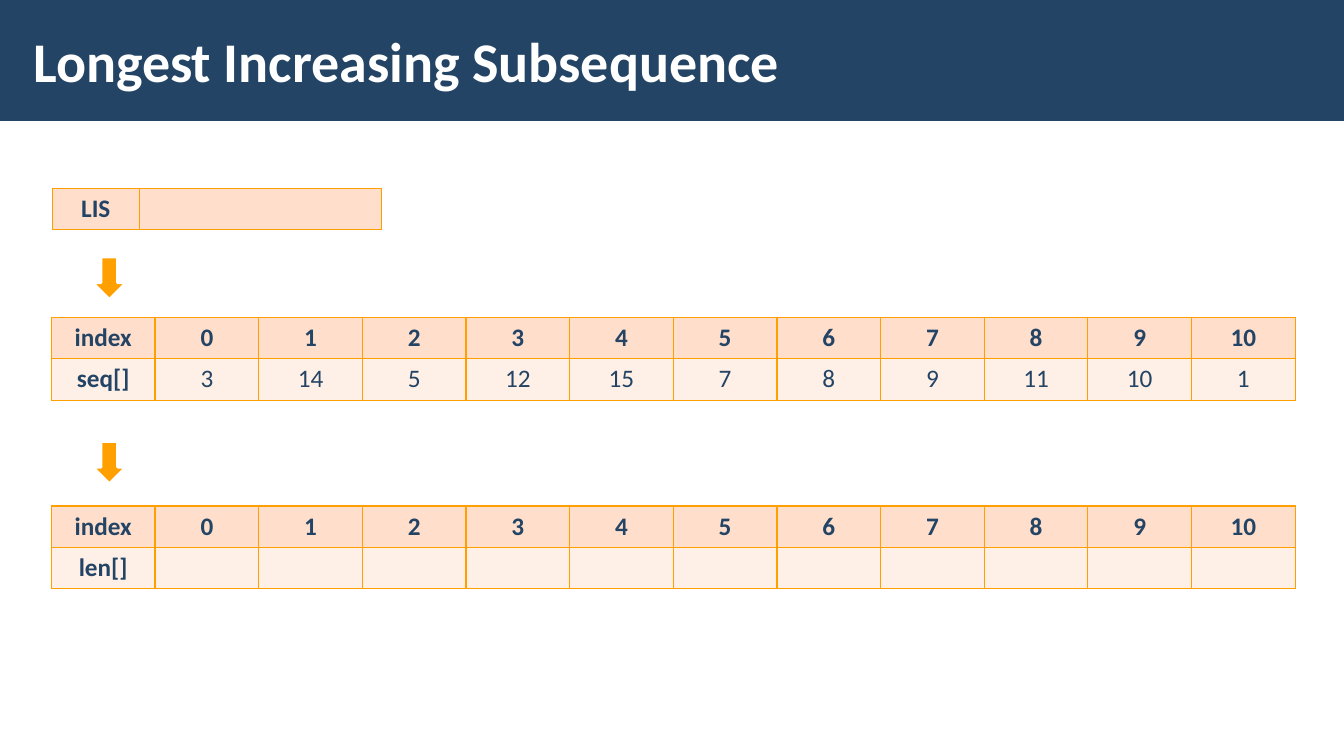
import pptx
import pptx.dml.color
import pptx.enum.shapes
import pptx.enum.text
import pptx.oxml
import pptx.oxml.ns
import pptx.util
from pptx.util import Inches

NAVY, ORANGE, WHITE = "234465", "FFA000", "FFFFFF"
HEADER_FILL, BODY_FILL = "FFDFCC", "FFF0E7"
FONT = "Calibri"

TITLE = "Longest Increasing Subsequence"
SEQUENCE = [3, 14, 5, 12, 15, 7, 8, 9, 11, 10, 1]
INDEX_ROW = ["index", *range(len(SEQUENCE))]
ROW_HEIGHT = 0.41

# left, top, column widths, rows
ARRAY_WIDTHS = [12.34 / len(INDEX_ROW)] * len(INDEX_ROW)
TABLES = [
    (0.51, 3.15, ARRAY_WIDTHS, [INDEX_ROW, ["seq[]", *SEQUENCE]]),
    (0.51, 5.02, ARRAY_WIDTHS, [INDEX_ROW, ["len[]"] + [""] * len(SEQUENCE)]),
    (0.52, 1.87, [0.86, 2.4], [["LIS", ""]]),
]
ARROW_TOPS = [2.55, 4.38]


def color(value):
    return pptx.dml.color.RGBColor.from_string(value)


def paint(item, value):
    item.fill.solid()
    item.fill.fore_color.rgb = color(value)


def style_text(frame, size, value, bold):
    for para in frame.paragraphs:
        for span in para.runs:
            span.font.name = FONT
            span.font.size = pptx.util.Pt(size)
            span.font.bold = bold
            span.font.color.rgb = color(value)


def add_preset(page, kind, left, top, width, height, fill):
    shape = page.shapes.add_shape(
        kind, Inches(left), Inches(top), Inches(width), Inches(height))
    shape.shadow.inherit = False
    paint(shape, fill)
    return shape


def add_borders(cell):
    """Draw a one-point orange line on all four sides of the cell."""
    properties = cell._tc.get_or_add_tcPr()
    for position, side in enumerate(("lnL", "lnR", "lnT", "lnB")):
        line = pptx.oxml.parse_xml(
            f'<a:{side} {pptx.oxml.ns.nsdecls("a")} w="12700"><a:solidFill>'
            f'<a:srgbClr val="{ORANGE}"/></a:solidFill></a:{side}>')
        properties.insert(position, line)


def add_grid(page, left, top, widths, rows):
    table = page.shapes.add_table(
        len(rows), len(widths), Inches(left), Inches(top),
        Inches(sum(widths)), Inches(ROW_HEIGHT * len(rows))).table
    table.horz_banding = False
    for column, width in zip(table.columns, widths):
        column.width = Inches(width)
    for row_number, values in enumerate(rows):
        for column_number, value in enumerate(values):
            cell = table.cell(row_number, column_number)
            cell.text_frame.text = str(value)
            cell.text_frame.paragraphs[0].alignment = pptx.enum.text.PP_ALIGN.CENTER
            style_text(cell.text_frame, 18, NAVY,
                       bold=row_number == 0 or column_number == 0)
            paint(cell, BODY_FILL if row_number else HEADER_FILL)
            add_borders(cell)


def add_title(page):
    title = page.shapes.title
    title.left, title.top = Inches(0.21), Inches(0.11)
    title.width, title.height = Inches(10.63), Inches(0.97)
    frame = title.text_frame
    frame.text = TITLE
    frame.word_wrap = True
    frame.vertical_anchor = pptx.enum.text.MSO_ANCHOR.MIDDLE
    frame.margin_left = frame.margin_right = Inches(0.12)
    frame.margin_top = frame.margin_bottom = Inches(0.04)
    frame.paragraphs[0].alignment = pptx.enum.text.PP_ALIGN.LEFT
    style_text(frame, 40, WHITE, bold=True)

    band = add_preset(page, pptx.enum.shapes.MSO_SHAPE.RECTANGLE,
                      0, 0, 13.33, 1.2, NAVY)
    band.line.fill.background()
    title._element.addprevious(band._element)  # band goes behind the title


def main():
    deck = pptx.Presentation()
    deck.slide_width, deck.slide_height = Inches(13.33), Inches(7.5)
    page = deck.slides.add_slide(deck.slide_layouts.get_by_name("Title Only"))
    add_title(page)
    for top in ARROW_TOPS:
        arrow = add_preset(page, pptx.enum.shapes.MSO_SHAPE.DOWN_ARROW,
                           0.92, top, 0.33, 0.42, ORANGE)
        arrow.line.color.rgb = color(WHITE)
        arrow.line.width = pptx.util.Pt(2)
    for left, top, widths, rows in TABLES:
        add_grid(page, left, top, widths, rows)
    deck.save("out.pptx")


if __name__ == "__main__":
    main()
